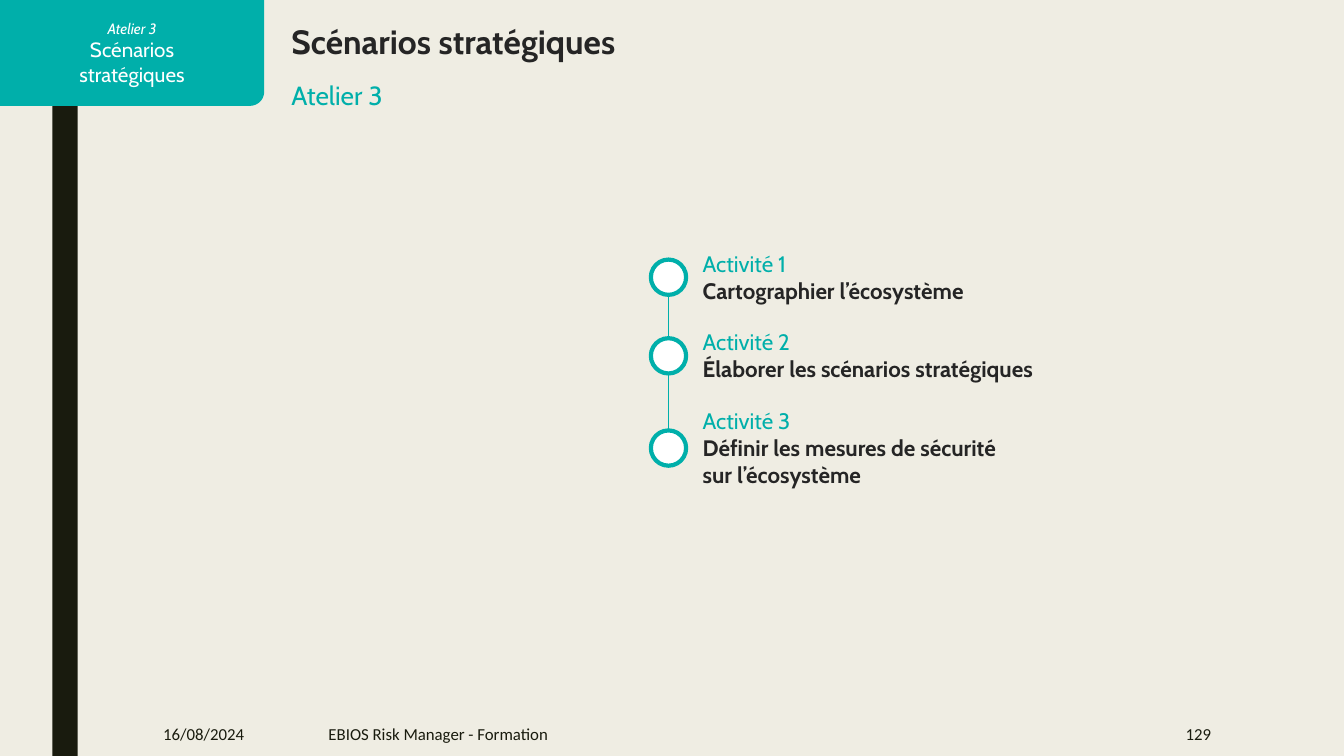
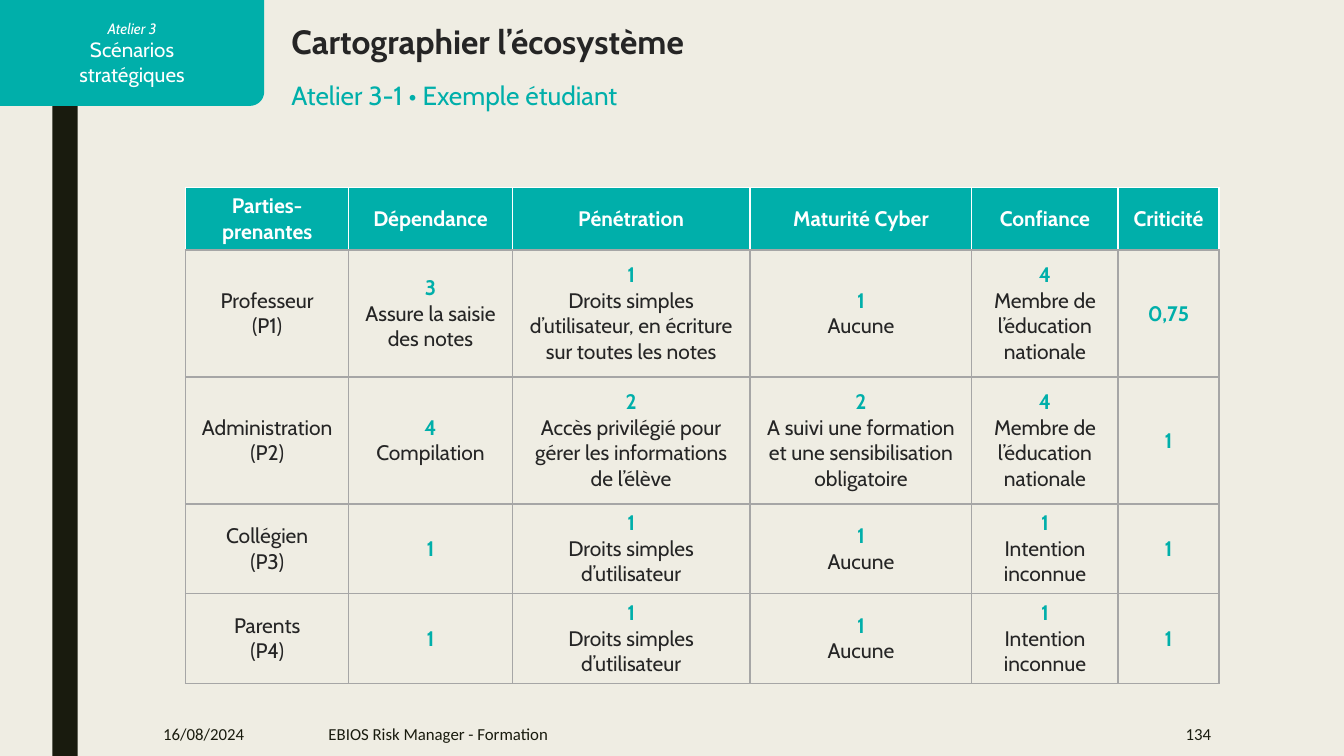
from math import cos, pi, sin

from lxml.etree import SubElement
from pptx import Presentation
from pptx.dml.color import RGBColor
from pptx.enum.shapes import MSO_CONNECTOR, MSO_SHAPE
from pptx.enum.text import MSO_ANCHOR as Anchor, PP_ALIGN as Align
from pptx.oxml.ns import qn
from pptx.util import Inches, Pt

TEAL = RGBColor(0x00, 0xAF, 0xAA)
DARK = RGBColor(0x25, 0x25, 0x25)
BLACK = RGBColor(0x19, 0x1B, 0x0E)
CREAM = RGBColor(0xEF, 0xED, 0xE3)
WHITE = RGBColor(0xFF, 0xFF, 0xFF)
GREY = RGBColor(0xA6, 0xA6, 0xA6)


def add_line(frame, text, size, color, bold=False, italic=False, font="Cabin", align=Align.LEFT):
    """Add one paragraph, using the empty first one if there is one."""
    paragraph = frame.paragraphs[0]
    if paragraph.runs:
        paragraph = frame.add_paragraph()
    paragraph.alignment = align
    run = paragraph.add_run()
    run.text = text
    run.font.name = font
    run.font.size = Pt(size)
    run.font.bold = bold
    run.font.italic = italic
    run.font.color.rgb = color


def add_frame(slide, left, top, width, height, inset=0):
    """Add a wrapping text box and return its text frame."""
    box = slide.shapes.add_textbox(Inches(left), Inches(top), Inches(width), Inches(height))
    frame = box.text_frame
    frame.word_wrap = True
    frame.margin_left = frame.margin_right = Inches(inset)
    frame.margin_top = frame.margin_bottom = Inches(inset / 2)
    return frame


presentation = Presentation()
presentation.slide_width = Inches(13.33)
presentation.slide_height = Inches(7.5)
background = presentation.slide_master.background.fill
background.solid()
background.fore_color.rgb = CREAM

# Shared frame: side band, corner tab, titles and footer
TAB_WIDTH, TAB_HEIGHT, TAB_RADIUS = 2.62, 1.05, 0.14
ARC_STEPS = 12
angles = [pi / 2 * step / ARC_STEPS for step in range(ARC_STEPS + 1)]
tab_corner = [
    (Inches(TAB_WIDTH - TAB_RADIUS * (1 - cos(angle))),
     Inches(TAB_HEIGHT - TAB_RADIUS * (1 - sin(angle))))
    for angle in angles
]
tab_points = [(Inches(TAB_WIDTH), 0), *tab_corner, (0, Inches(TAB_HEIGHT))]

HEADINGS = [
    ("Scénarios stratégiques", "Atelier 3", "129"),
    ("Cartographier l’écosystème", "Atelier 3-1 • Exemple étudiant", "134"),
]
slides = []
for title, subtitle, number in HEADINGS:
    slide = presentation.slides.add_slide(presentation.slide_layouts[6])
    slides.append(slide)

    band = slide.shapes.add_shape(
        MSO_SHAPE.RECTANGLE, Inches(0.52), 0, Inches(0.25), presentation.slide_height)
    builder = slide.shapes.build_freeform(0, 0)
    builder.add_line_segments(tab_points, close=True)
    tab = builder.convert_to_shape()
    for shape, color in ((band, BLACK), (tab, TEAL)):
        shape.shadow.inherit = False
        shape.fill.solid()
        shape.fill.fore_color.rgb = color
        shape.line.fill.background()
    tab.text_frame.vertical_anchor = Anchor.MIDDLE
    add_line(tab.text_frame, "Atelier 3", 10.7, WHITE, italic=True, align=Align.CENTER)
    for text in ("Scénarios", "stratégiques"):
        add_line(tab.text_frame, text, 14.7, WHITE, align=Align.CENTER)

    add_line(add_frame(slide, 2.89, 0.21, 9.97, 0.4), title, 24, DARK, bold=True)
    add_line(add_frame(slide, 2.89, 0.79, 9.39, 0.31), subtitle, 18.7, TEAL)

    footers = [
        (1.52, 1.32, "16/08/2024", Align.LEFT),
        (3.16, 6.87, "EBIOS Risk Manager - Formation", Align.LEFT),
        (10.36, 1.75, number, Align.RIGHT),
    ]
    for left, width, text, align in footers:
        frame = add_frame(slide, left, 7.06, width, 0.44, inset=0.1)
        frame.vertical_anchor = Anchor.MIDDLE
        add_line(frame, text, 12, BLACK, font="Calibri", align=align)

overview, example = slides

# Slide 1: timeline of activities
ACTIVITIES = [
    ["Cartographier l’écosystème"],
    ["Élaborer les scénarios stratégiques"],
    ["Définir les mesures de sécurité", "sur l’écosystème"],
]
DOT_CENTER, DOT_SIZE = 6.63, 0.35
FIRST_TOP, PITCH, LINE_HEIGHT = 2.48, 0.78, 0.27

timeline = overview.shapes.add_connector(
    MSO_CONNECTOR.STRAIGHT, Inches(DOT_CENTER), Inches(2.58), Inches(DOT_CENTER), Inches(4.45))
timeline.line.color.rgb = TEAL
timeline.line.width = Pt(1.25)
SubElement(timeline.line._get_or_add_ln().getparent(), qn("a:effectLst"))

for index, lines in enumerate(ACTIVITIES):
    top = FIRST_TOP + index * PITCH
    height = LINE_HEIGHT * (len(lines) + 1)
    dot = overview.shapes.add_shape(
        MSO_SHAPE.OVAL, Inches(DOT_CENTER - DOT_SIZE / 2),
        Inches(top + (height - DOT_SIZE) / 2), Inches(DOT_SIZE), Inches(DOT_SIZE))
    dot.shadow.inherit = False
    dot.fill.solid()
    dot.fill.fore_color.rgb = WHITE
    dot.line.color.rgb = TEAL
    dot.line.width = Pt(3)
    frame = add_frame(overview, 6.97, top, 4.33, height)
    add_line(frame, f"Activité {index + 1}", 16, TEAL)
    for line in lines:
        add_line(frame, line, 16, DARK, bold=True)

# Slide 2: stakeholder table, each rating as (score, explanation)
HEADERS = ["Parties-prenantes", "Dépendance", "Pénétration", "Maturité Cyber", "Confiance", "Criticité"]
STAKEHOLDERS = [
    [("Professeur", "(P1)"), ("3", "Assure la saisie des notes"),
     ("1", "Droits simples d’utilisateur, en écriture sur toutes les notes"),
     ("1", "Aucune"), ("4", "Membre de l’éducation nationale"), ("0,75",)],
    [("Administration", "(P2)"), ("4", "Compilation"),
     ("2", "Accès privilégié pour gérer les informations de l’élève"),
     ("2", "A suivi une formation et une sensibilisation obligatoire"),
     ("4", "Membre de l’éducation nationale"), ("1",)],
    [("Collégien", "(P3)"), ("1",), ("1", "Droits simples d’utilisateur"),
     ("1", "Aucune"), ("1", "Intention inconnue"), ("1",)],
    [("Parents", "(P4)"), ("1",), ("1", "Droits simples d’utilisateur"),
     ("1", "Aucune"), ("1", "Intention inconnue"), ("1",)],
]
COLUMN_WIDTHS = [1.62, 1.62, 2.36, 2.2, 1.45, 1]
ROW_HEIGHTS = [0.62, 1.26, 1.26, 0.89, 0.89]

rows = [[(header,) for header in HEADERS], *STAKEHOLDERS]
table = example.shapes.add_table(
    len(rows), len(HEADERS), Inches(1.84), Inches(1.86),
    Inches(sum(COLUMN_WIDTHS)), Inches(sum(ROW_HEIGHTS))).table
table.first_row = True
table.horz_banding = False
for column, width in zip(table.columns, COLUMN_WIDTHS):
    column.width = Inches(width)
for row, height in zip(table.rows, ROW_HEIGHTS):
    row.height = Inches(height)

for row_index, row in enumerate(rows):
    is_header = row_index == 0
    for column_index, lines in enumerate(row):
        cell = table.cell(row_index, column_index)
        cell.vertical_anchor = Anchor.MIDDLE
        cell.margin_left = cell.margin_right = Inches(0.11)
        cell.margin_top = cell.margin_bottom = Inches(0.06)

        properties = cell._tc.get_or_add_tcPr()
        for side in ("L", "R", "T", "B"):
            color = WHITE if is_header and side != "B" else GREY
            border = SubElement(properties, qn(f"a:ln{side}"), w=str(Pt(1)))
            SubElement(SubElement(border, qn("a:solidFill")), qn("a:srgbClr"), val=str(color))
        if is_header:
            cell.fill.solid()
            cell.fill.fore_color.rgb = TEAL
        else:
            cell.fill.background()

        for line_index, line in enumerate(lines):
            is_score = not is_header and column_index > 0 and line_index == 0
            color = WHITE if is_header else TEAL if is_score else DARK
            add_line(cell.text_frame, line, 15, color, bold=is_header or is_score, align=Align.CENTER)

presentation.save("out.pptx")
